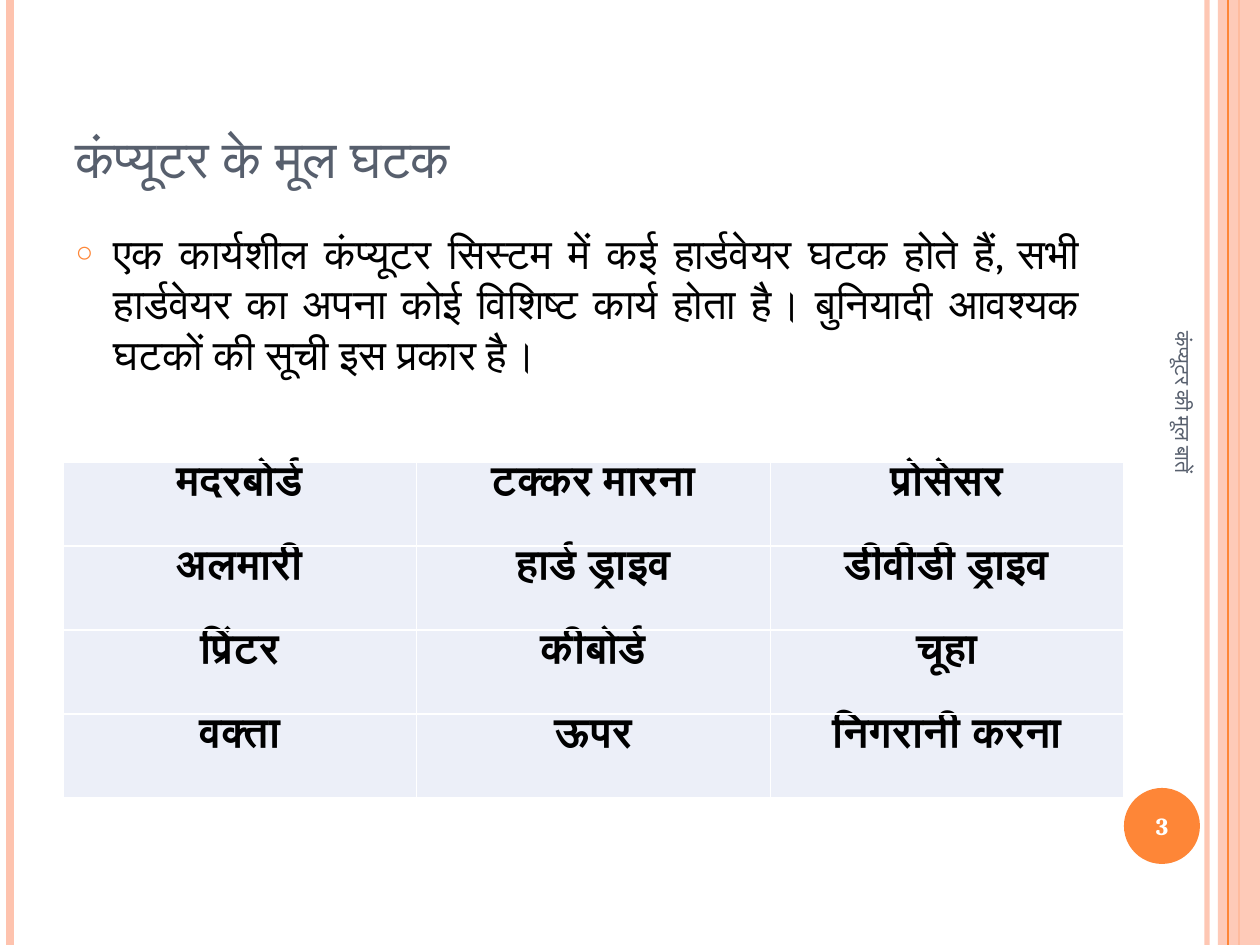
from lxml.etree import SubElement
from pptx import Presentation
from pptx.dml.color import RGBColor
from pptx.enum.shapes import MSO_CONNECTOR as Connector, MSO_SHAPE as Shape
from pptx.enum.text import MSO_ANCHOR as Anchor, MSO_AUTO_SIZE as AutoSize, PP_ALIGN as Align
from pptx.oxml.ns import qn
from pptx.util import Pt

PX = 914400 / 126
FONT = "Cambria"
COLORS = {"accent": "FE8637", "peach": "FEC3AE", "slate": "575F6D",
          "black": "000000", "white": "FFFFFF", "cell": "ECEFF8"}
INTRO = ("एक कार्यशील कंप्यूटर सिस्टम में कई हार्डवेयर घटक होते हैं, सभी हार्डवेयर का अपना "
         "कोई विशिष्ट कार्य होता है। बुनियादी आवश्यक घटकों की सूची इस प्रकार है।")
COMPONENTS = [
    ["मदरबोर्ड", "टक्कर मारना", "प्रोसेसर"],
    ["अलमारी", "हार्ड ड्राइव", "डीवीडी ड्राइव"],
    ["प्रिंटर", "कीबोर्ड", "चूहा"],
    ["वक्ता", "ऊपर", "निगरानी करना"],
]


def emu(px):
    return round(px * PX)


def rgb(name):
    return RGBColor.from_string(COLORS[name])


def add_xml(parent, tag, **attributes):
    return SubElement(parent, qn(tag), attributes)


def set_alpha(properties, percent):
    color = next(properties.iter(qn("a:srgbClr")))
    add_xml(color, "a:alpha", val=str(percent * 1000))


def write(frame, text, size=24, color="black", bold=False, align=Align.LEFT,
          anchor=Anchor.TOP, small_caps=False):
    frame.word_wrap = True
    frame.vertical_anchor = anchor
    paragraph = frame.paragraphs[0]
    paragraph.alignment = align
    run = paragraph.add_run()
    run.text = text
    font = run.font
    font.name, font.size, font.bold = FONT, Pt(size), bold
    font.color.rgb = rgb(color)
    if small_caps:
        run._r.get_or_add_rPr().set("cap", "small")
    return paragraph


class SlideBuilder:
    """Holds the style and the current slide and adds each kind of element."""

    def __init__(self, deck):
        self.slide = deck.slides.add_slide(deck.slide_layouts[1])
        self.shapes = self.slide.shapes

    def rule(self, x, color, width, alpha=None):
        rule = self.shapes.add_connector(Connector.STRAIGHT, emu(x), 0, emu(x), emu(945))
        rule.line.color.rgb = rgb(color)
        rule.line.width = Pt(width)
        properties = rule._element.spPr
        if alpha:
            set_alpha(properties, alpha)
        add_xml(properties, "a:effectLst")

    def block(self, kind, box, color, alpha=None):
        block = self.shapes.add_shape(kind, *map(emu, box))
        block.shadow.inherit = False
        block.fill.solid()
        block.fill.fore_color.rgb = rgb(color)
        block.line.fill.background()
        if alpha:
            set_alpha(block._element.spPr, alpha)

    def placeholder(self, index, box, text, **style):
        holder = self.slide.placeholders[index]
        holder.left, holder.top, holder.width, holder.height = map(emu, box)
        holder.text_frame.auto_size = AutoSize.NONE
        return write(holder.text_frame, text, **style)

    def bullet(self, box, text, **style):
        paragraph = self.placeholder(1, box, text, **style)
        paragraph.space_before = Pt(6)
        properties = paragraph._p.get_or_add_pPr()
        properties.set("marL", str(emu(38)))
        properties.set("indent", str(emu(-38)))
        add_xml(add_xml(properties, "a:buClr"), "a:srgbClr", val=COLORS["accent"])
        add_xml(properties, "a:buSzPct", val="70000")
        add_xml(properties, "a:buChar", char="○")

    def label(self, box, text, rotation=0, **style):
        label = self.shapes.add_textbox(*map(emu, box))
        label.rotation = rotation
        write(label.text_frame, text, anchor=Anchor.MIDDLE, **style)

    def table(self, box, rows, **style):
        table = self.shapes.add_table(len(rows), len(rows[0]), *map(emu, box)).table
        table.first_row = table.horz_banding = False
        for row, words in enumerate(rows):
            for column, word in enumerate(words):
                cell = table.cell(row, column)
                cell.margin_top = cell.margin_bottom = 0
                write(cell.text_frame, word, **style)
                self.borders(cell)
                cell.fill.solid()
                cell.fill.fore_color.rgb = rgb("cell")

    def borders(self, cell):
        properties = cell._tc.get_or_add_tcPr()
        for side in ("a:lnL", "a:lnR", "a:lnT", "a:lnB"):
            border = add_xml(properties, side, w=str(Pt(1)))
            add_xml(add_xml(border, "a:solidFill"), "a:srgbClr", val=COLORS["white"])


def main():
    deck = Presentation()
    deck.slide_width, deck.slide_height = emu(1260), emu(945)
    page = SlideBuilder(deck)

    page.rule(1207, "peach", 3, alpha=93)
    page.rule(10, "peach", 4.5)
    page.rule(1239, "accent", 1.5)
    page.block(Shape.RECTANGLE, (1218, 0, 42, 945), "peach", alpha=87)
    page.rule(1228, "accent", 0.75)
    page.block(Shape.OVAL, (1124, 788, 76, 76), "accent")

    page.placeholder(0, (63, 38, 1029, 157), "कंप्यूटर के मूल घटक", size=30,
                     color="slate", anchor=Anchor.BOTTOM, small_caps=True)
    page.bullet((63, 221, 1029, 672), INTRO, align=Align.JUSTIFY)
    page.label((1120, 790, 84, 72), "3", size=14, color="white", bold=True,
               align=Align.CENTER)
    page.label((963, 515, 441, 50), "कंप्यूटर की मूल बातें", rotation=90, size=12,
               color="slate")
    page.table((63, 462, 1061, 336), COMPONENTS, bold=True, align=Align.CENTER)
    deck.save("out.pptx")


if __name__ == "__main__":
    main()
